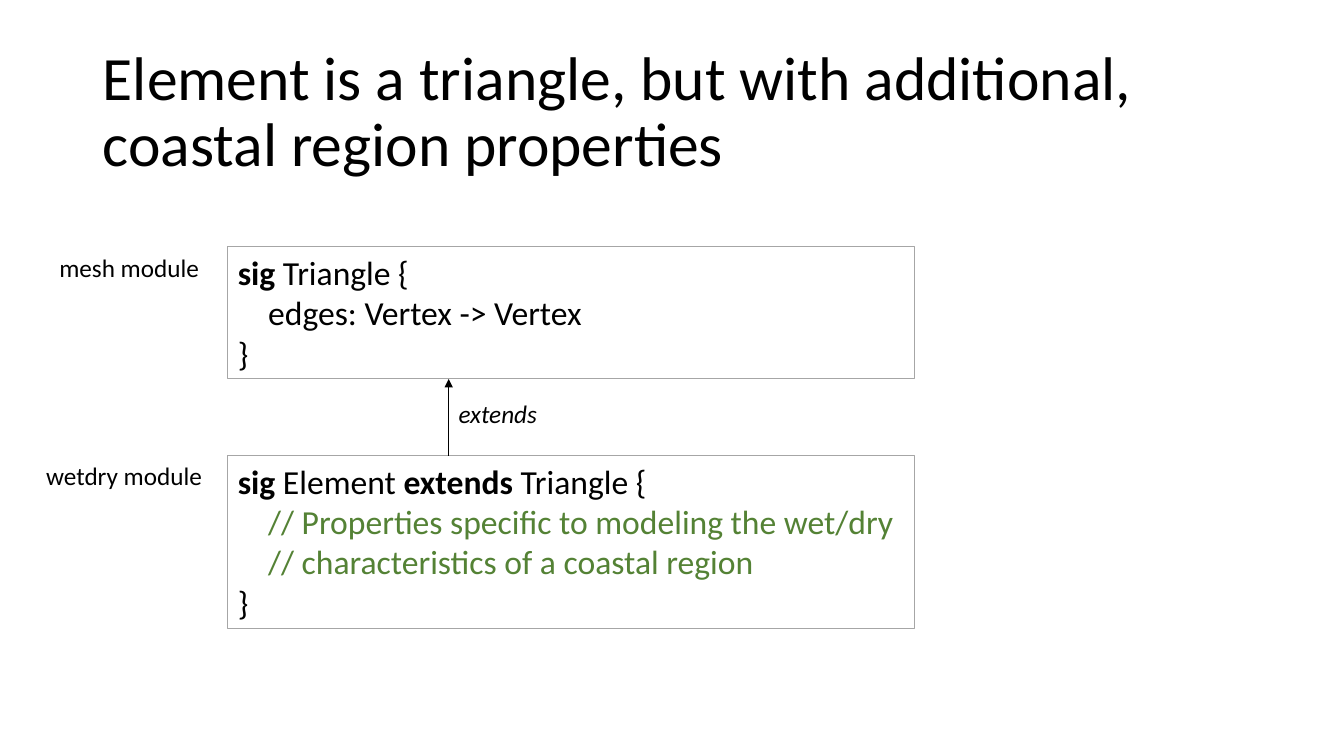
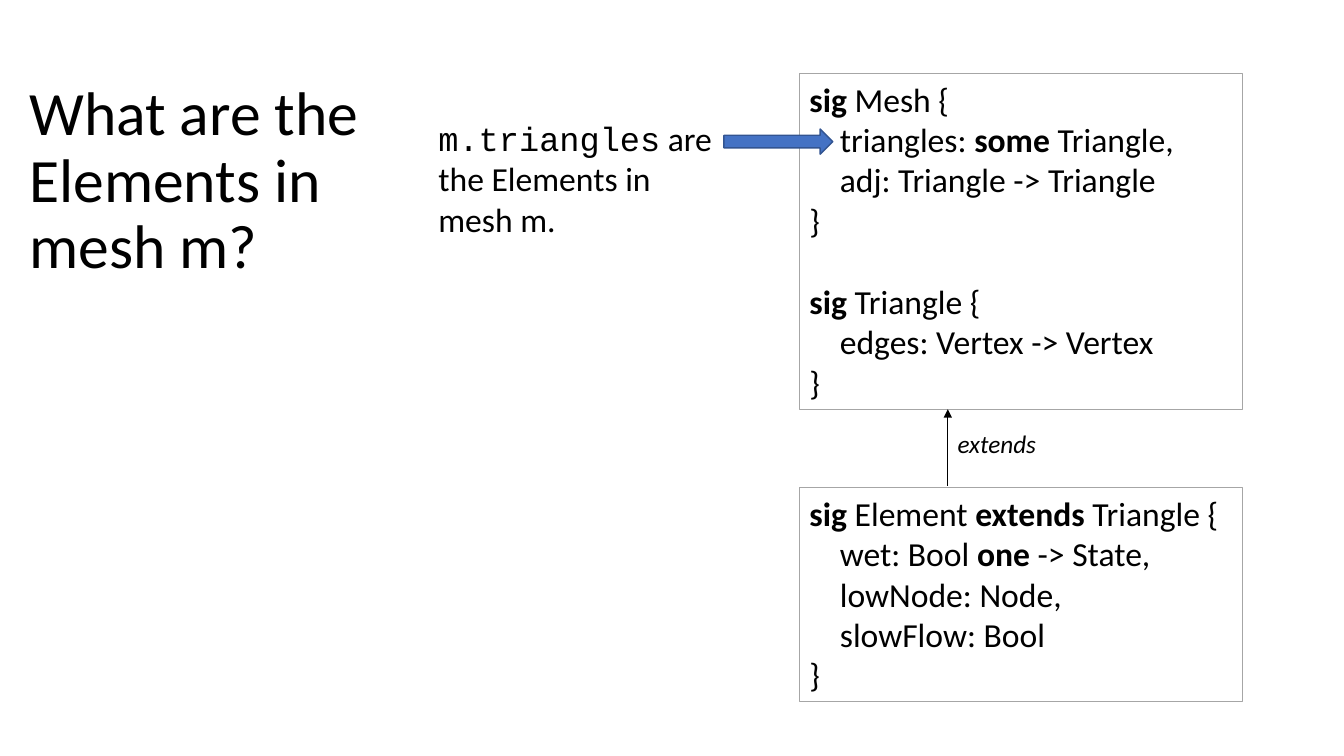
from dataclasses import dataclass

from pptx import Presentation
from pptx.dml.color import RGBColor
from pptx.enum.shapes import MSO_CONNECTOR, MSO_SHAPE
from pptx.enum.text import MSO_ANCHOR, MSO_AUTO_SIZE, PP_ALIGN
from pptx.oxml.ns import qn
from pptx.shapes.autoshape import Shape
from pptx.slide import Slide
from pptx.text.text import Font
from pptx.util import Inches, Pt
from lxml.etree import SubElement

BLACK = RGBColor(0x00, 0x00, 0x00)
GREY = RGBColor(0xA6, 0xA6, 0xA6)
GREEN = RGBColor(0x54, 0x82, 0x35)
BLUE = RGBColor(0x44, 0x72, 0xC4)
DARK_BLUE = RGBColor(0x32, 0x54, 0x91)

BODY_FONT = "Calibri"
CODE_FONT = "Courier New"
TITLE_SIZE, CODE_SIZE, LABEL_SIZE = 44, 24, 18
CODE_LINE_HEIGHT = 29.3
EXTENDS_LENGTH = 0.76
TITLE_ONLY = 5


@dataclass(frozen=True)
class Box:
    left: float
    top: float
    width: float
    height: float

    @property
    def bottom(self) -> float:
        return self.top + self.height

    def emu(self) -> tuple[Inches, Inches, Inches, Inches]:
        return (Inches(self.left), Inches(self.top),
                Inches(self.width), Inches(self.height))


@dataclass(frozen=True)
class Signature:
    box: Box
    blocks: tuple[str, ...]


@dataclass(frozen=True)
class Label:
    text: str
    box: Box
    italic: bool = False


TRIANGLE = "*sig* Triangle {\n    edges: Vertex -> Vertex\n}"
MESH = "*sig* Mesh {\n    triangles: *some* Triangle,\n    adj: Triangle -> Triangle\n}"
ELEMENT = "*sig* Element *extends* Triangle {\n"
ELEMENT_COMMENTS = ELEMENT + (
    "    // Properties specific to modeling the wet/dry\n"
    "    // characteristics of a coastal region\n}")
ELEMENT_FIELDS = ELEMENT + (
    "    wet: Bool *one* -> State,\n    lowNode: Node,\n    slowFlow: Bool\n}")


def style_font(font: Font, size: float, name: str = BODY_FONT, color: RGBColor = BLACK) -> None:
    font.name = name
    font.size = Pt(size)
    font.color.rgb = color


def add_titled_slide(presentation: Presentation, text: str, box: Box) -> Slide:
    slide = presentation.slides.add_slide(presentation.slide_layouts[TITLE_ONLY])
    title = slide.shapes.title
    title.left, title.top, title.width, title.height = box.emu()
    title.text_frame.text = text
    title.text_frame.auto_size = MSO_AUTO_SIZE.NONE
    title.text_frame.vertical_anchor = MSO_ANCHOR.MIDDLE
    paragraph = title.text_frame.paragraphs[0]
    paragraph.alignment = PP_ALIGN.LEFT
    paragraph.line_spacing = 0.9
    style_font(paragraph.runs[0].font, TITLE_SIZE)
    return slide


def add_plain_shape(slide: Slide, preset: MSO_SHAPE, box: Box,
                    line_color: RGBColor, line_width: float) -> Shape:
    shape = slide.shapes.add_shape(preset, *box.emu())
    shape.shadow.inherit = False
    shape.line.color.rgb = line_color
    shape.line.width = Pt(line_width)
    return shape


def add_signature(slide: Slide, signature: Signature) -> None:
    shape = add_plain_shape(slide, MSO_SHAPE.RECTANGLE, signature.box, GREY, 0.75)
    shape.fill.background()
    frame = shape.text_frame
    frame.word_wrap = True
    frame.vertical_anchor = MSO_ANCHOR.TOP
    lines = [(line, block > 0 and row == 0)
             for block, code in enumerate(signature.blocks)
             for row, line in enumerate(code.split("\n"))]
    for index, (line, starts_later_block) in enumerate(lines):
        paragraph = frame.add_paragraph() if index else frame.paragraphs[0]
        paragraph.alignment = PP_ALIGN.LEFT
        if starts_later_block:
            paragraph.space_before = Pt(CODE_LINE_HEIGHT)
        color = GREEN if line.strip().startswith("//") else BLACK
        for position, part in enumerate(line.split("*")):
            if part:
                run = paragraph.add_run()
                run.text = part
                style_font(run.font, CODE_SIZE, color=color)
                run.font.bold = position % 2 == 1


def add_label(slide: Slide, label: Label) -> None:
    frame = slide.shapes.add_textbox(*label.box.emu()).text_frame
    frame.word_wrap = False
    frame.text = label.text
    font = frame.paragraphs[0].runs[0].font
    style_font(font, LABEL_SIZE)
    font.italic = label.italic


def add_extends_arrow(slide: Slide, center: float, parent: Box) -> None:
    connector = slide.shapes.add_connector(
        MSO_CONNECTOR.STRAIGHT, Inches(center), Inches(parent.bottom + EXTENDS_LENGTH),
        Inches(center), Inches(parent.bottom))
    connector.line.color.rgb = BLACK
    connector.line.width = Pt(0.5)
    properties = connector._element.spPr
    SubElement(properties.find(qn("a:ln")), qn("a:tailEnd"), type="triangle")
    SubElement(properties, qn("a:effectLst"))
    add_label(slide, Label("extends", Box(center, parent.bottom + 0.14, 1.01, 0.4), True))


def add_answer(slide: Slide, box: Box) -> None:
    frame = slide.shapes.add_textbox(*box.emu()).text_frame
    frame.word_wrap = True
    for text, font_name in (("m.triangles", CODE_FONT),
                            (" are the Elements in mesh m.", BODY_FONT)):
        run = frame.paragraphs[0].add_run()
        run.text = text
        style_font(run.font, CODE_SIZE, font_name)


def add_pointer(slide: Slide, box: Box) -> None:
    arrow = add_plain_shape(slide, MSO_SHAPE.RIGHT_ARROW, box, DARK_BLUE, 1)
    arrow.fill.solid()
    arrow.fill.fore_color.rgb = BLUE


def build_extension_slide(presentation: Presentation) -> None:
    slide = add_titled_slide(
        presentation, "Element is a triangle, but with additional, coastal region properties",
        Box(0.92, 0.4, 11.5, 1.45))
    triangle = Box(2.26, 2.45, 6.81, 1.31)
    element = Box(triangle.left, triangle.bottom + EXTENDS_LENGTH, triangle.width, 1.72)
    add_signature(slide, Signature(triangle, (TRIANGLE,)))
    add_signature(slide, Signature(element, (ELEMENT_COMMENTS,)))
    add_extends_arrow(slide, 4.45, triangle)
    add_label(slide, Label("mesh module", Box(0.49, triangle.top, 1.6, 0.4)))
    add_label(slide, Label("wetdry module", Box(0.36, element.top, 1.77, 0.4)))


def build_question_slide(presentation: Presentation) -> None:
    slide = add_titled_slide(
        presentation, "What are the Elements in mesh m?", Box(0.19, 0.4, 3.79, 2.82))
    mesh = Box(7.93, 0.73, 4.39, 3.33)
    element = Box(mesh.left, 4.84, mesh.width, 2.12)
    add_signature(slide, Signature(mesh, (MESH, TRIANGLE)))
    add_signature(slide, Signature(element, (ELEMENT_FIELDS,)))
    add_extends_arrow(slide, 9.4, mesh)
    add_answer(slide, Box(4.25, 1.12, 2.93, 1.31))
    add_pointer(slide, Box(7.18, 1.28, 1.08, 0.25))


def main() -> None:
    presentation = Presentation()
    presentation.slide_width = Inches(13.33)
    presentation.slide_height = Inches(7.5)
    build_extension_slide(presentation)
    build_question_slide(presentation)
    presentation.save("out.pptx")


if __name__ == "__main__":
    main()
